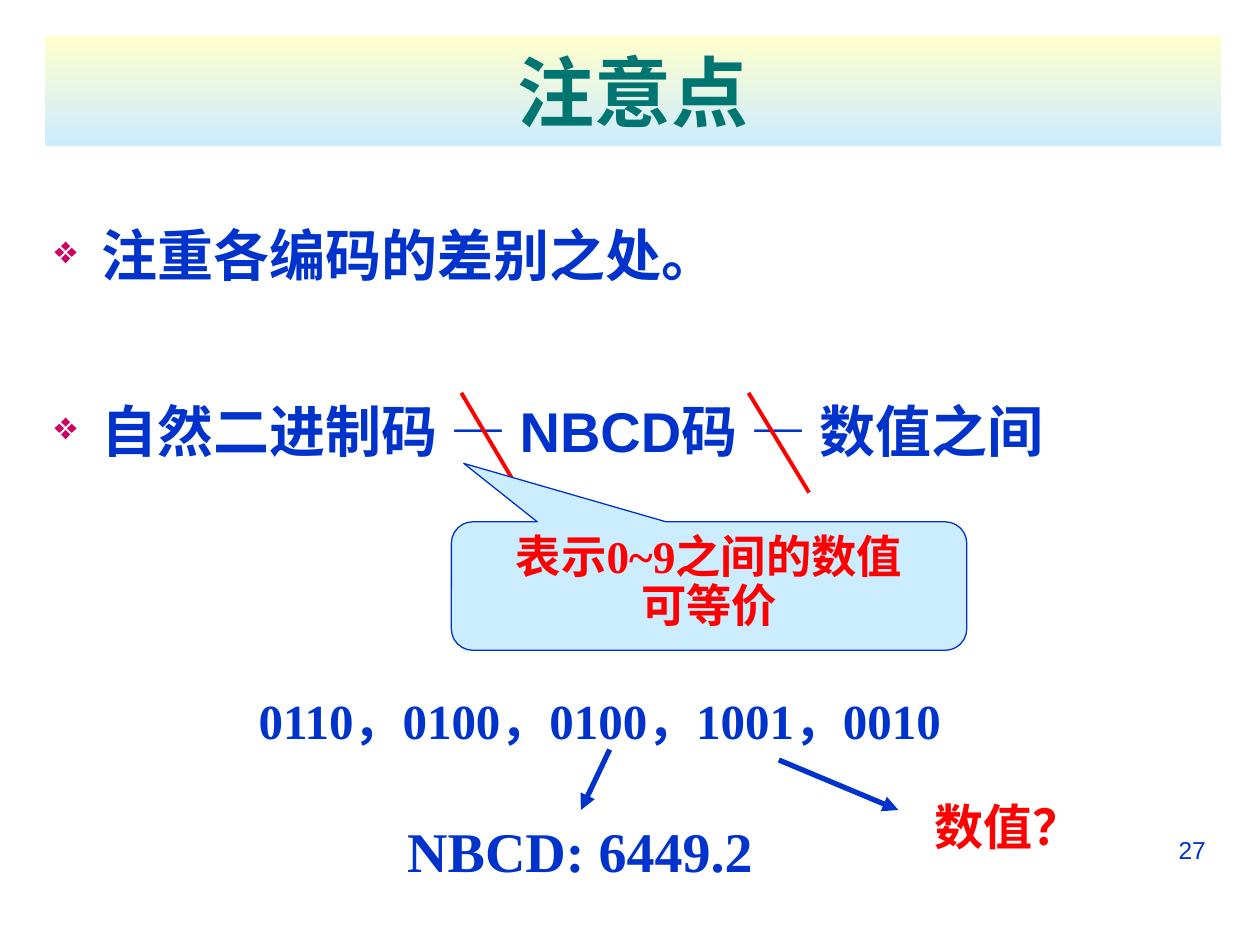
import pptx
import pptx.chart.data
import pptx.dml.color
import pptx.enum.shapes
import pptx.enum.text
import pptx.oxml
import pptx.oxml.ns
import pptx.util
from pptx.util import Cm

PP = pptx.enum.text.PP_ALIGN
ANCHOR = pptx.enum.text.MSO_ANCHOR
SHAPE = pptx.enum.shapes.MSO_SHAPE
BLUE, RED, TEAL, PINK = "0033CC", "FF0000", "007572", "CC0066"
CREAM, SKY = "FFFFCC", "CCECFF"
SERIF, SANS, CJK = "Times New Roman", "Arial", "Noto Sans CJK SC"


def rgb(color):
    return pptx.dml.color.RGBColor.from_string(color)


def add_run(p, text, size, font, color, bold=True):
    """Append a run, with Chinese characters set in the CJK font."""
    r = p.add_run()
    r.text = text
    r.font.size = pptx.util.Pt(size)
    r.font.bold = bold
    r.font.name = font
    r.font.color.rgb = rgb(color)
    latin = r.font._element.find(pptx.oxml.ns.qn("a:latin"))
    latin.addnext(pptx.oxml.parse_xml(
        f'<a:ea {pptx.oxml.ns.nsdecls("a")} typeface="{CJK}"/>'))


prs = pptx.Presentation()
prs.slide_width, prs.slide_height = Cm(25.4), Cm(19.05)
s = prs.slides.add_slide(prs.slide_layouts[5])
ns = pptx.oxml.ns.nsdecls("a")

# Title band
title = s.shapes.title
title.left, title.top, title.width, title.height = Cm(0.9), Cm(0.72), Cm(23.72), Cm(2.22)
title.fill.gradient()
title.fill.gradient_angle = 270
for stop, color, position in zip(title.fill.gradient_stops, (CREAM, SKY), (0, 1)):
    stop.color.rgb = rgb(color)
    stop.position = position
tf = title.text_frame
tf.vertical_anchor = ANCHOR.MIDDLE
p = tf.paragraphs[0]
p.alignment = PP.CENTER
add_run(p, "注意点", 44, SANS, TEAL)

# Bulleted points
points = [
    [("注重各编码的差别之处。", SANS)],
    [("自然二进制码 ", SANS), ("— ", CJK), ("NBCD码 ", SANS), ("— ", CJK), ("数值之间", SANS)],
]
body = s.shapes.add_textbox(Cm(0.85), Cm(4.32), Cm(23.72), Cm(11.96))
tf = body.text_frame
tf.word_wrap = True
for i, runs in enumerate(points):
    p = tf.add_paragraph() if i else tf.paragraphs[0]
    pPr = p._p.get_or_add_pPr()
    pPr.set("marL", str(Cm(0.95)))
    pPr.set("indent", str(-Cm(0.95)))
    for bullet in (f'<a:buClr {ns}><a:srgbClr val="{PINK}"/></a:buClr>',
                   f'<a:buSzPct {ns} val="70000"/>',
                   f'<a:buChar {ns} char="❖"/>'):
        pPr.append(pptx.oxml.parse_xml(bullet))
    if i:
        p.space_before = pptx.util.Pt(62)
    for text, font in runs:
        add_run(p, text, 32, font, BLUE)

# Strokes through the dashes, and arrows below the code groups
lines = [
    (9.3, 7.92, 10.49, 9.93, RED, 2.25, False),
    (15.09, 7.92, 16.31, 9.93, RED, 2.25, False),
    (12.29, 15.11, 11.71, 16.33, BLUE, 3, True),
    (15.7, 15.32, 18.11, 16.33, BLUE, 3, True),
]
for x1, y1, x2, y2, color, width, arrow in lines:
    line = s.shapes.add_connector(pptx.enum.shapes.MSO_CONNECTOR.STRAIGHT,
                                  Cm(x1), Cm(y1), Cm(x2), Cm(y2))
    line.line.color.rgb = rgb(color)
    line.line.width = pptx.util.Pt(width)
    if arrow:
        line.line._get_or_add_ln().append(
            pptx.oxml.parse_xml(f'<a:tailEnd {ns} type="triangle"/>'))
    line._element.spPr.append(pptx.oxml.parse_xml(f"<a:effectLst {ns}/>"))

# Callout
callout = s.shapes.add_shape(SHAPE.ROUNDED_RECTANGULAR_CALLOUT,
                             Cm(9.1), Cm(10.52), Cm(10.39), Cm(2.59))
callout.shadow.inherit = False
for i, value in enumerate((-0.476, -0.955, 0.167)):
    callout.adjustments[i] = value
callout.fill.solid()
callout.fill.fore_color.rgb = rgb(SKY)
callout.line.color.rgb = rgb(BLUE)
callout.line.width = pptx.util.Pt(0.75)
tf = callout.text_frame
tf.vertical_anchor = ANCHOR.TOP
for i, text in enumerate(("表示0~9之间的数值", "可等价")):
    p = tf.add_paragraph() if i else tf.paragraphs[0]
    p.alignment = PP.CENTER
    p.line_spacing = 0.9
    add_run(p, text, 25.9, SERIF, RED)

# Single-line labels
labels = [
    ("0110，0100，0100，1001，0010", 3.99, 13.79, 16.2, 1.45, 28, SERIF, BLUE, True, False, PP.CENTER),
    ("NBCD: 6449.2", 7.29, 16.33, 8.81, 1.63, 32, SERIF, BLUE, True, True, PP.CENTER),
    ("数值？", 18.11, 15.93, 3.45, 1.45, 28, SERIF, RED, True, False, PP.CENTER),
    ("27", 18.21, 16.71, 6.35, 1.32, 14, SANS, BLUE, False, True, PP.RIGHT),
]
for text, x, y, w, h, size, font, color, bold, wrap, align in labels:
    sp = s.shapes.add_textbox(Cm(x), Cm(y), Cm(w), Cm(h))
    tf = sp.text_frame
    tf.word_wrap = wrap
    p = tf.paragraphs[0]
    p.alignment = align
    add_run(p, text, size, font, color, bold)

prs.save("out.pptx")
